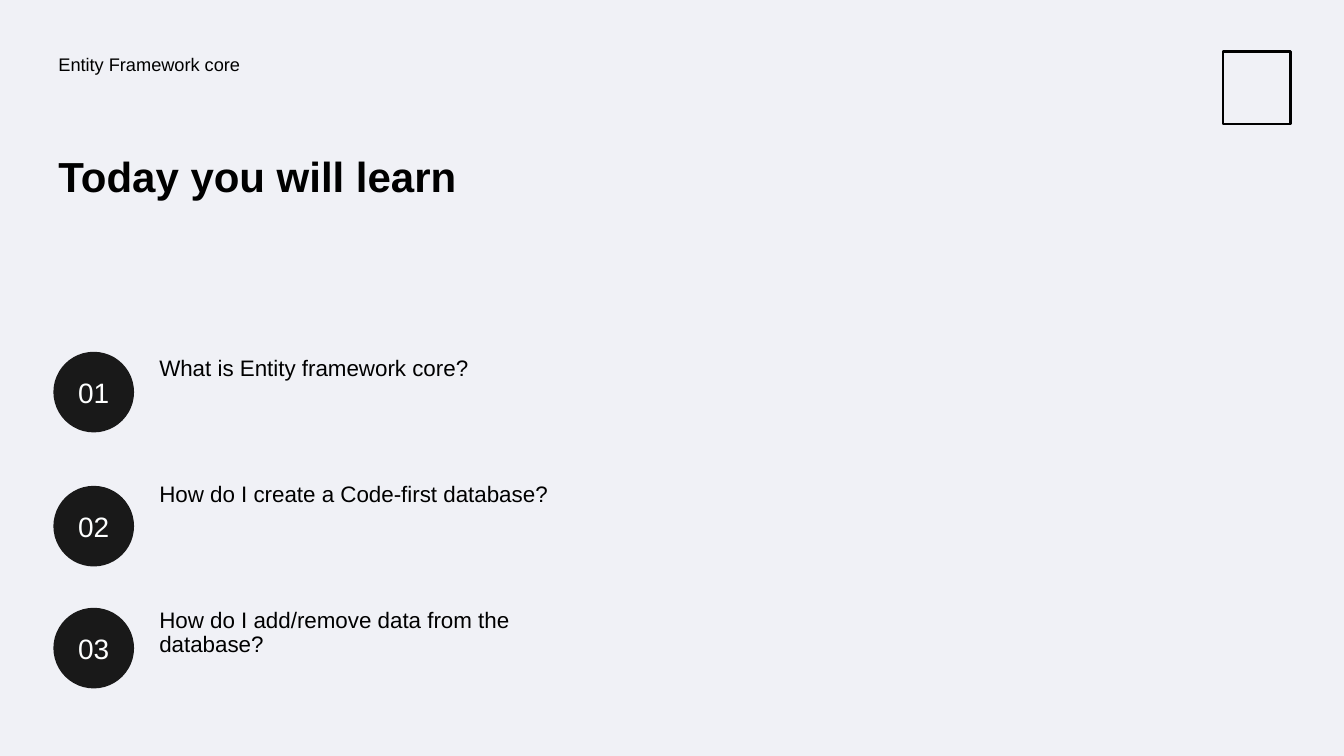
from pptx import Presentation
from pptx.dml.color import RGBColor
from pptx.enum.shapes import MSO_SHAPE
from pptx.enum.text import MSO_ANCHOR, PP_ALIGN
from pptx.util import Inches, Pt

COURSE = "Entity Framework core"
TITLE = "Today you will learn"
# (question, top of its circle)
TOPICS = [
    ("What is Entity framework core?", 3.49),
    ("How do I create a Code-first database?", 4.82),
    ("How do I add/remove data from the database?", 6.03),
]

BACKGROUND = RGBColor(0xF0, 0xF1, 0xF6)
BLACK = RGBColor(0x00, 0x00, 0x00)
CIRCLE = RGBColor(0x19, 0x19, 0x19)
NUMBER = RGBColor(0xFE, 0xFF, 0xFF)

FONT = "Arial"
LEFT = 0.53
TOPIC_LEFT = 1.53
TOPIC_TOP = 3.49
TOPIC_STEP = 1.25
DIAMETER = 0.8
INSET = 0.05


def write(sp, text, size, color, bold=False):
    """Set and format a one-paragraph text, and return the paragraph."""
    tf = sp.text_frame
    tf.margin_left = tf.margin_right = Inches(INSET)
    tf.margin_top = tf.margin_bottom = Inches(INSET)
    tf.text = text
    p = tf.paragraphs[0]
    font = p.runs[0].font
    font.name, font.size, font.bold = FONT, Pt(size), bold
    font.color.rgb = color
    return p


def add_text(s, box, text, size, bold=False):
    sp = s.shapes.add_textbox(*map(Inches, box))
    sp.text_frame.word_wrap = True
    write(sp, text, size, BLACK, bold).line_spacing = 0.9


def add_number_circle(s, top, number):
    sp = s.shapes.add_shape(MSO_SHAPE.OVAL, Inches(LEFT), Inches(top),
                            Inches(DIAMETER), Inches(DIAMETER))
    sp.shadow.inherit = False
    sp.fill.solid()
    sp.fill.fore_color.rgb = CIRCLE
    sp.line.fill.background()
    write(sp, f"{number:02d}", 20, NUMBER).alignment = PP_ALIGN.CENTER
    sp.text_frame.word_wrap = False
    sp.text_frame.vertical_anchor = MSO_ANCHOR.MIDDLE


def add_emblem(s):
    sp = s.shapes.add_shape(MSO_SHAPE.RECTANGLE, Inches(12.13), Inches(0.51),
                            Inches(0.67), Inches(0.72))
    sp.shadow.inherit = False
    sp.fill.background()
    sp.line.color.rgb = BLACK
    sp.line.width = Pt(2)


def main():
    prs = Presentation()
    prs.slide_width, prs.slide_height = Inches(13.33), Inches(7.5)
    s = prs.slides.add_slide(prs.slide_layouts[6])
    s.background.fill.solid()
    s.background.fill.fore_color.rgb = BACKGROUND

    add_emblem(s)
    add_text(s, (LEFT, 0.5, 6.14, 0.5), COURSE, 13)
    add_text(s, (LEFT, 1.5, 5.64, 1.49), TITLE, 30, bold=True)
    for i, (question, circle_top) in enumerate(TOPICS):
        top = TOPIC_TOP + i * TOPIC_STEP
        add_text(s, (TOPIC_LEFT, top, 4.63, 0.99), question, 16)
        add_number_circle(s, circle_top, i + 1)

    prs.save("out.pptx")


if __name__ == "__main__":
    main()
